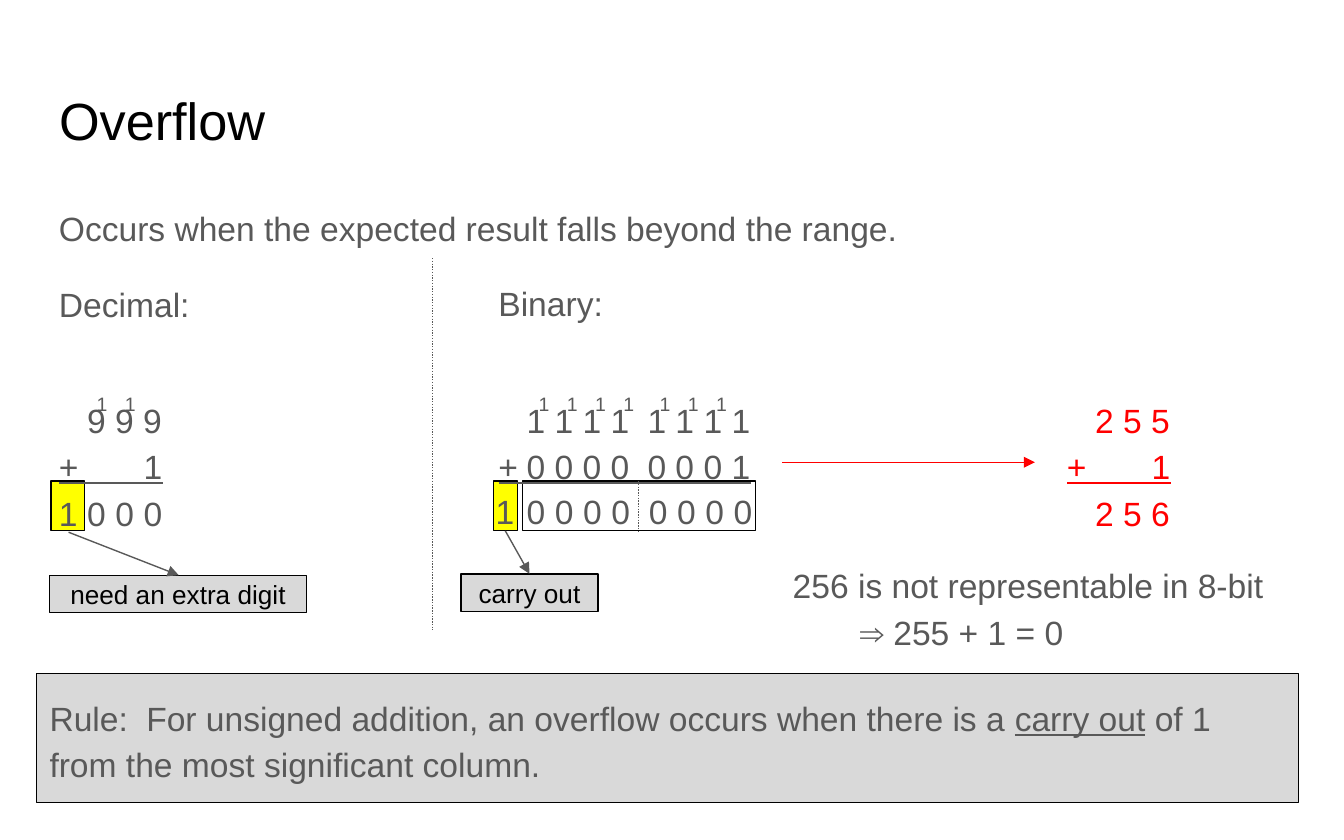
from lxml.etree import SubElement
from pptx import Presentation
from pptx.dml.color import RGBColor
from pptx.enum.dml import MSO_LINE_DASH_STYLE as Dash
from pptx.enum.shapes import MSO_CONNECTOR as Connector, MSO_SHAPE as Shape
from pptx.enum.text import MSO_ANCHOR as Anchor, MSO_AUTO_SIZE as AutoSize, PP_ALIGN as Align
from pptx.oxml.ns import qn
from pptx.util import Inches, Pt

COLORS = {"ink": "000000", "body": "595959", "alert": "FF0000",
          "mark": "FFFF00", "panel": "D9D9D9"}
COLUMNS, ROWS = 100, 62.5
PITCH = 2.1


class SlideBuilder:
    def __init__(self, deck):
        self.deck = deck
        self.page = deck.slides.add_slide(deck.slide_layouts[5])

    def color(self, name):
        return RGBColor.from_string(COLORS[name])

    def across(self, columns):
        return round(self.deck.slide_width * columns / COLUMNS)

    def down(self, rows):
        return round(self.deck.slide_height * rows / ROWS)

    def area(self, left, top, width, height):
        return self.across(left), self.down(top), self.across(width), self.down(height)

    def frame(self, box, anchor=Anchor.TOP):
        frame = box.text_frame
        settings = {"word_wrap": True, "auto_size": AutoSize.NONE, "vertical_anchor": anchor}
        settings.update({f"margin_{side}": Inches(0.1)
                         for side in ("left", "top", "right", "bottom")})
        for name, value in settings.items():
            setattr(frame, name, value)
        return frame

    def fill_para(self, para, spans, size=18, color="body", tabs=(), first=0, **layout):
        properties = para._p.get_or_add_pPr()
        if first:
            properties.set("marL", "0")
            properties.set("indent", str(self.across(first)))
        if tabs:
            stops = SubElement(properties, qn("a:tabLst"))
            for stop in tabs:
                SubElement(stops, qn("a:tab"), pos=str(self.across(stop)), algn="l")
        for name, value in layout.items():
            setattr(para, name, value)
        for text, style in spans:
            span = para.add_run()
            span.text = text
            span.font.color.rgb = self.color(color)
            for name, value in {"name": "Arial", "size": Pt(size), **style}.items():
                setattr(span.font, name, value)

    def title(self, text, area):
        box = self.page.shapes.title
        box.left, box.top, box.width, box.height = self.area(*area)
        para = self.frame(box, Anchor.MIDDLE).paragraphs[0]
        self.fill_para(para, [(text, {})], 28, "ink", alignment=Align.LEFT)

    def text(self, lines, area, color="body", after=0, tabs=(), first=0):
        frame = self.frame(self.page.shapes.add_textbox(*self.area(*area)))
        for index, line in enumerate(lines):
            para = frame.add_paragraph() if index else frame.paragraphs[0]
            self.fill_para(para, [(line, {})], color=color, tabs=tabs,
                           first=first if index else 0,
                           line_spacing=1.15, space_after=Pt(after))
        return frame

    def digits(self, text, left, top, raised=False):
        for index, digit in enumerate(text):
            frame = self.text([digit], (left + index * PITCH, top, 3.8, 5.5))
            if raised:
                span = frame.paragraphs[0].runs[0]
                span._r.get_or_add_rPr().set("baseline", "30000")

    def rect(self, area, fill=None):
        box = self.page.shapes.add_shape(Shape.RECTANGLE, *self.area(*area))
        box.shadow.inherit = False
        if fill:
            box.fill.solid()
            box.fill.fore_color.rgb = self.color(fill)
        else:
            box.fill.background()
        box.line.color.rgb = self.color("ink")
        box.line.width = Pt(0.75)
        return box

    def panel(self, spans, area, **format_values):
        box = self.rect(area, "panel")
        para = self.frame(box, Anchor.MIDDLE).paragraphs[0]
        self.fill_para(para, spans, **format_values)

    def line(self, start, end, color="body", dash=None, arrow=False):
        link = self.page.shapes.add_connector(
            Connector.STRAIGHT, self.across(start[0]), self.down(start[1]),
            self.across(end[0]), self.down(end[1]))
        link.line.color.rgb = self.color(color)
        link.line.width = Pt(0.75)
        if dash:
            link.line.dash_style = dash
        if arrow:
            SubElement(link.line._get_or_add_ln(), qn("a:tailEnd"), type="triangle")
        SubElement(link._element.spPr, qn("a:effectLst"))

    def addition(self, lines, left, width, tabs, color="body"):
        self.text(lines, (left, 28.3, 28, 11.2), color, tabs=tabs)
        self.line((left + 1, 35.95), (left + 1 + width, 35.95), color)


def main():
    deck = Presentation()
    deck.slide_width, deck.slide_height = Inches(10), Inches(6.25)
    slide = SlideBuilder(deck)

    slide.title("Overflow", (3.4, 5.4, 93.2, 7))
    slide.text(["Occurs when the expected result falls beyond the range.", "Decimal:"],
               (3.4, 14, 93.2, 12), after=16)
    slide.text(["Binary:"], (36.1, 19.6, 56.8, 6))
    slide.line((32.2, 19.2), (32.2, 46.9), dash=Dash.ROUND_DOT)

    slide.rect((3.8, 35.8, 2.5, 3.7), "mark")
    slide.rect((36.7, 35.8, 1.8, 3.7), "mark")
    slide.rect((38.9, 35.8, 17.3, 3.7))
    slide.line((47.5, 35.8), (47.5, 39.5), dash=Dash.ROUND_DOT)

    slide.addition(["\t9 9 9", "+\t\t1"], 3.4, 7.7, (2.1, 6.3))
    slide.addition(["\t1 1 1 1\t1 1 1 1", "+\t0 0 0 0\t0 0 0 1"], 36.1, 18.8, (2.1, 11.1))
    slide.addition(["\t2 5 5", "+\t\t1", "\t2 5 6"], 78.4, 7.7, (2.1, 6.3), "alert")

    slide.digits("1000", 3.4, 35.2)
    for text, left in (("1", 35.9), ("0000", 38.2), ("0000", 47.3)):
        slide.digits(text, left, 35.1)
    for text, left in (("11", 6.2), ("1111", 39.1), ("111", 48.1)):
        slide.digits(text, left, 27.4, raised=True)

    label = {"size": 14, "color": "ink", "alignment": Align.CENTER}
    slide.panel([("need an extra digit", {})], (3.7, 42.8, 19.1, 2.8), **label)
    slide.panel([("carry out", {})], (34.3, 42.7, 10.2, 2.8), **label)
    slide.line((5.1, 39.6), (13.3, 42.8), arrow=True)
    slide.line((37.6, 39.5), (39.4, 42.7), arrow=True)
    slide.line((58.2, 34.4), (77, 34.4), "alert", arrow=True)

    slide.text(["256 is not representable in 8-bit", "⇒ 255 + 1 = 0"],
               (58, 40.6, 38.6, 9), first=5)
    slide.panel([("Rule:\tFor unsigned addition, an overflow occurs when there is a ", {}),
                 ("carry out", {"underline": True}),
                 (" of 1 from the most significant column.", {})],
                (2.7, 50.1, 93.9, 9.6), tabs=(7.2,), line_spacing=1.15, alignment=Align.LEFT)
    deck.save("out.pptx")


if __name__ == "__main__":
    main()
